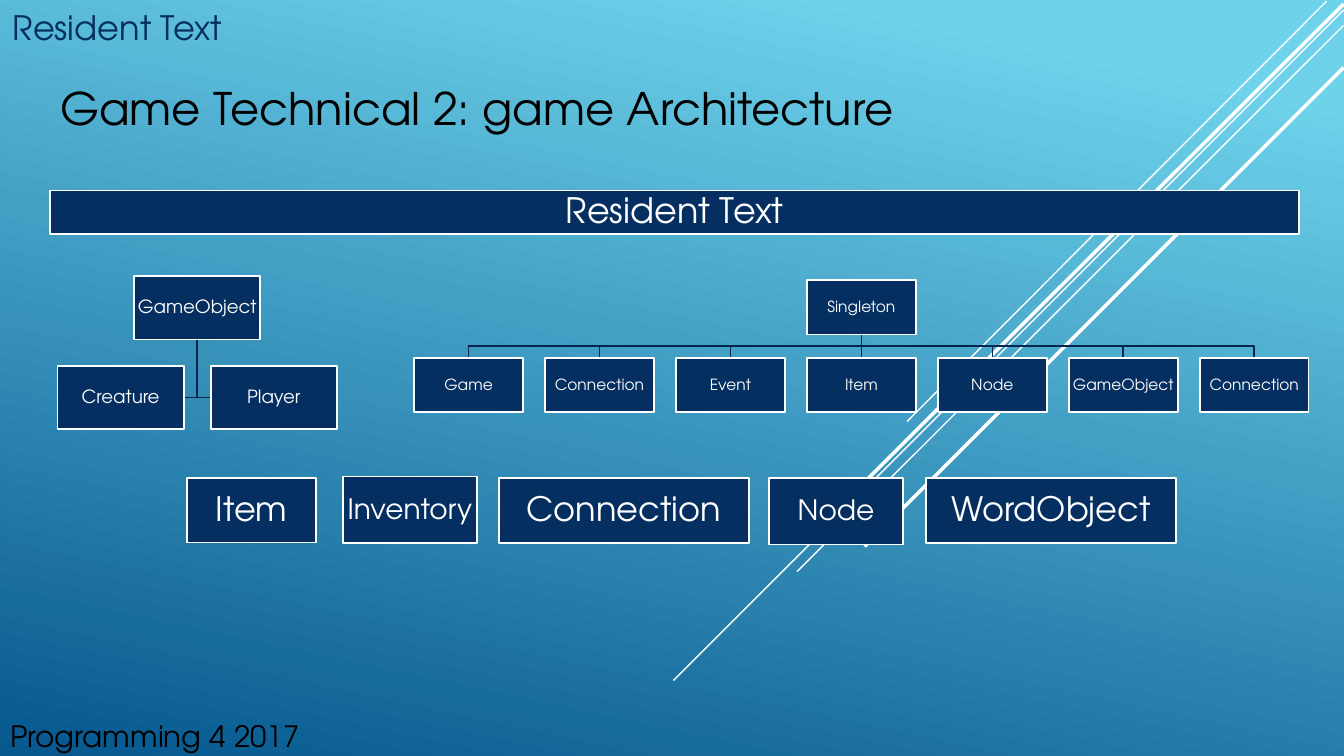
"""Build the game architecture slide with its class hierarchies."""
from lxml.etree import SubElement
from pptx import Presentation
from pptx.dml.color import RGBColor
from pptx.enum.shapes import MSO_CONNECTOR, MSO_SHAPE
from pptx.enum.text import MSO_ANCHOR, MSO_AUTO_SIZE, PP_ALIGN
from pptx.oxml.ns import qn
from pptx.util import Cm, Pt

FONT = "TeX Gyre Adventor"
NAVY = RGBColor(0x05, 0x2F, 0x61)
BRANCH = RGBColor(0x04, 0x26, 0x4E)
SKY = RGBColor(0x6E, 0xD2, 0xEB)
OCEAN = RGBColor(0x06, 0x58, 0x8E)
WHITE = RGBColor(0xFF, 0xFF, 0xFF)
BLACK = RGBColor(0, 0, 0)

RAYS = [
    (33.43, 0.03, 22.86, 10.62, 1),
    (33.86, 0.25, 16.97, 17.15, 1),
    (33.86, 0.64, 20.09, 14.4, 1),
    (33.86, 0.1, 20.37, 13.56, 2.5),
    (33.86, 1.7, 21.79, 13.77, 2.5),
]
SINGLETONS = ["Game", "Connection", "Event", "Item", "Node", "GameObject", "Connection"]
STANDALONE = [
    ("Item", 4.72, 12.04, 3.25, 1.63, 24),
    ("Inventory", 8.64, 12.01, 3.38, 1.68, 20),
    ("Connection", 12.57, 12.04, 6.3, 1.65, 24),
    ("Node", 19.38, 12.04, 3.38, 1.68, 20),
    ("WordObject", 23.34, 12.04, 6.3, 1.65, 24),
]


def paint_background(slide):
    """Fill the slide with the slanted blue gradient."""
    fill = slide.background.fill
    fill.gradient()
    fill.gradient_angle = 258
    for stop, position, color in zip(fill.gradient_stops, (0.1, 1), (SKY, OCEAN)):
        stop.position = position
        stop.color.rgb = color


def write(shape, text, size, color, align, anchor):
    """Put one formatted line of text into a shape."""
    frame = shape.text_frame
    frame.text = text
    frame.auto_size = MSO_AUTO_SIZE.NONE
    frame.word_wrap = False
    frame.vertical_anchor = anchor
    paragraph = frame.paragraphs[0]
    paragraph.alignment = align
    paragraph.font.name = FONT
    paragraph.font.size = Pt(size)
    paragraph.font.color.rgb = color
    return paragraph


def place(shape, left, top, width, height):
    """Move and size a shape, in centimetres."""
    shape.left, shape.top = Cm(left), Cm(top)
    shape.width, shape.height = Cm(width), Cm(height)


def add_line(slide, x1, y1, x2, y2, color, weight):
    """Draw a straight line without a shadow."""
    line = slide.shapes.add_connector(
        MSO_CONNECTOR.STRAIGHT, Cm(x1), Cm(y1), Cm(x2), Cm(y2))
    line.line.color.rgb = color
    line.line.width = Pt(weight)
    SubElement(line._element.spPr, qn("a:effectLst"))


def add_branch(slide, start, *bends):
    """Draw an angled branch through the given points."""
    builder = slide.shapes.build_freeform(Cm(start[0]), Cm(start[1]))
    builder.add_line_segments([(Cm(x), Cm(y)) for x, y in bends], close=False)
    branch = builder.convert_to_shape()
    branch.fill.background()
    branch.line.color.rgb = BRANCH
    branch.line.width = Pt(1.25)
    branch.shadow.inherit = False


def add_box(slide, name, left, top, width, height, size):
    """Draw a navy class box with its name."""
    box = slide.shapes.add_shape(
        MSO_SHAPE.RECTANGLE, Cm(left), Cm(top), Cm(width), Cm(height))
    box.fill.solid()
    box.fill.fore_color.rgb = NAVY
    box.line.color.rgb = WHITE
    box.line.width = Pt(1.25)
    box.shadow.inherit = False
    frame = box.text_frame
    frame.margin_left = frame.margin_right = Cm(0.03)
    frame.margin_top = frame.margin_bottom = Cm(0.03)
    label = write(box, name, size, WHITE, PP_ALIGN.CENTER, MSO_ANCHOR.MIDDLE)
    label.line_spacing = 0.9


def add_game_objects(slide):
    """Draw GameObject with its two subclasses hanging at the sides."""
    width, height, trunk, middle = 3.18, 1.6, 4.97, 10.02
    for name, side in (("Creature", -1), ("Player", 1)):
        center = trunk + side * 1.93
        add_branch(slide, (trunk, 8.56), (trunk, middle),
                   (center - side * width / 2, middle))
        add_box(slide, name, center - width / 2, 9.22, width, height, 13)
    add_box(slide, "GameObject", trunk - width / 2, 6.96, width, height, 13)


def add_singletons(slide):
    """Draw Singleton above an even row of its subclasses."""
    width, height, pitch, trunk = 2.74, 1.37, 3.3, 21.71
    bottom, bend, row = 8.43, 8.72, 9.02
    half = len(SINGLETONS) // 2
    for index, name in enumerate(SINGLETONS):
        center = trunk + (index - half) * pitch
        if index == half:
            add_line(slide, trunk, bottom, trunk, row, BRANCH, 1.25)
        else:
            add_branch(slide, (trunk, bottom), (trunk, bend), (center, bend), (center, row))
        add_box(slide, name, center - width / 2, row, width, height, 11)
    add_box(slide, "Singleton", trunk - width / 2, 7.06, width, height, 11)


def add_headings(slide):
    """Fill the title, the footer line and the topic heading."""
    project, course = slide.placeholders
    place(project, 0, 0, 5.92, 1.32)
    write(project, "Resident Text", 24, NAVY, PP_ALIGN.CENTER, MSO_ANCHOR.BOTTOM)
    place(course, 0, 17.96, 7.87, 1.09)
    write(course, "Programming 4 2017", 21, BLACK, PP_ALIGN.LEFT, MSO_ANCHOR.TOP)
    topic = slide.shapes.add_textbox(0, Cm(1.9), Cm(33.87), Cm(1.63))
    topic.text_frame.margin_left = Cm(1.52)
    write(topic, "Game Technical 2: game Architecture", 32, BLACK,
          PP_ALIGN.LEFT, MSO_ANCHOR.TOP)
    topic.text_frame.word_wrap = True


def main():
    """Assemble and save the slide."""
    deck = Presentation()
    deck.slide_width, deck.slide_height = Cm(33.87), Cm(19.05)
    slide = deck.slides.add_slide(deck.slide_layouts[0])
    paint_background(slide)
    for *ends, weight in RAYS:
        add_line(slide, *ends, WHITE, weight)
    add_headings(slide)
    add_game_objects(slide)
    add_box(slide, "Resident Text", 1.27, 4.8, 31.47, 1.09, 25)
    add_singletons(slide)
    for standalone in STANDALONE:
        add_box(slide, *standalone)
    deck.save("out.pptx")


if __name__ == "__main__":
    main()
